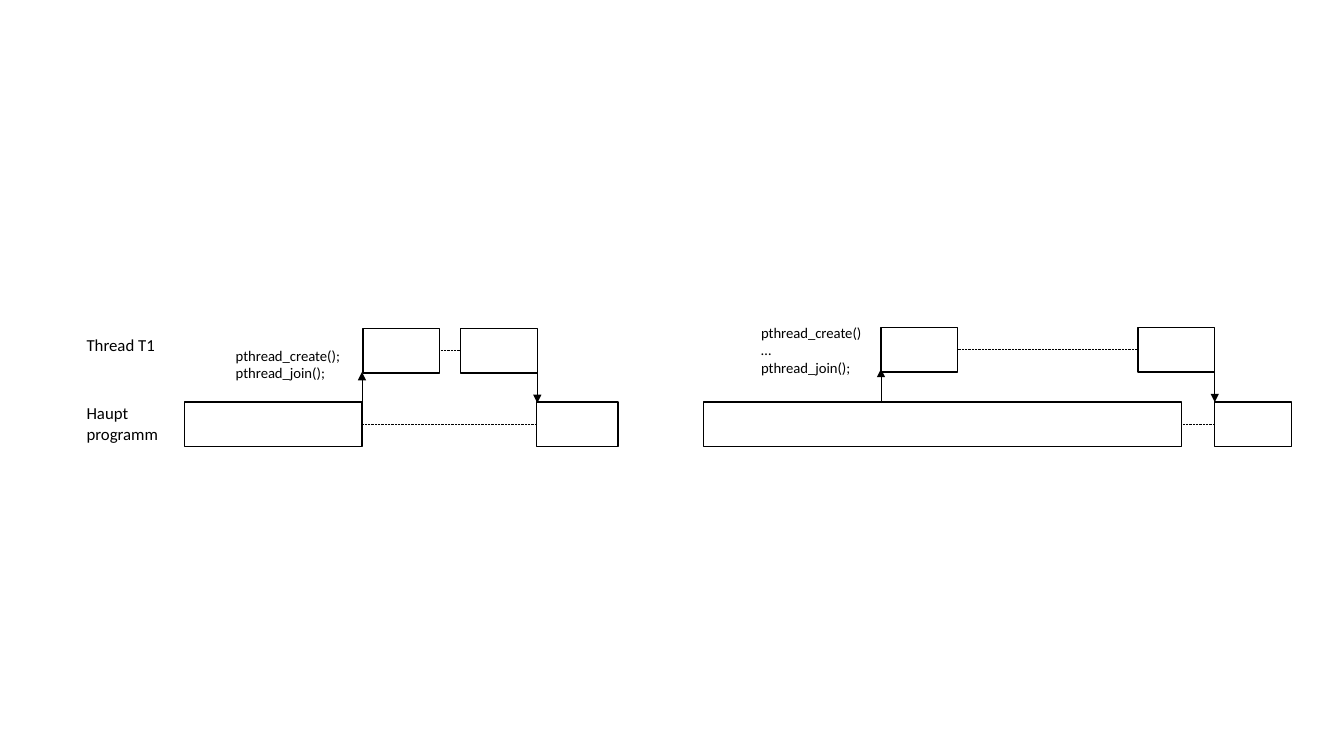
from dataclasses import dataclass

from lxml import etree
from pptx import Presentation
from pptx import util as u
from pptx.dml.color import RGBColor
from pptx.enum import dml, shapes, text
from pptx.oxml import ns

WIDTH, HEIGHT = u.Inches(13.33), u.Inches(7.5)
BLACK, WHITE = "000000", "FFFFFF"
LEFT, RIGHT = 1, 3

# Places and sizes are percentages of the slide's width and height.
MAIN_ROW = 53.2
LEFT_THREAD_ROW, RIGHT_THREAD_ROW = 43.47, 43.33
BAR_HEIGHT = 5.87
SLICE = 5.7


@dataclass(frozen=True)
class Bar:
    """A stretch of time in which a thread is running."""
    x: float
    y: float
    width: float = SLICE


@dataclass(frozen=True)
class Wait:
    """The pause between two bars of one thread."""
    before: str
    after: str


@dataclass(frozen=True)
class Handover:
    """A vertical arrow; with a source bar it leaves that bar's right side."""
    x: float
    start: float
    end: float
    source: str = ""


@dataclass(frozen=True)
class Label:
    wording: str
    x: float
    y: float
    width: float
    height: float
    size: float = 10.5


BARS = {
    "main before": Bar(13.73, MAIN_ROW, 13.2),
    "thread first": Bar(27, LEFT_THREAD_ROW),
    "thread second": Bar(34.28, LEFT_THREAD_ROW),
    "main after": Bar(39.9, MAIN_ROW, 6.08),
    "parallel main": Bar(52.35, MAIN_ROW, 35.55),
    "parallel first": Bar(65.55, RIGHT_THREAD_ROW),
    "parallel second": Bar(84.68, RIGHT_THREAD_ROW),
    "parallel after": Bar(90.38, MAIN_ROW),
}
WAITS = [
    Wait("main before", "main after"),
    Wait("thread first", "thread second"),
    Wait("parallel first", "parallel second"),
    Wait("parallel main", "parallel after"),
]
HANDOVERS = [
    Handover(26.93, 56.13, 49.2, "main before"),
    Handover(39.98, 46.4, 53.3, "thread second"),
    Handover(65.55, MAIN_ROW, 48.8),
    Handover(90.38, 46.27, MAIN_ROW, "parallel second"),
]
LABELS = [
    Label("Thread T1", 5.7, 43.6, 7.28, 4, 12),
    Label("Haupt\nprogramm", 5.7, 52.67, 7.28, 6.67, 12),
    Label("pthread_create();\npthread_join();", 16.8, 45.2, 9.98, 6),
    Label("pthread_create()\n…\npthread_join();", 55.89, 42.13, 9.68, 8.4),
]


def across(share: float) -> int:
    return round(WIDTH * share / 100)


def down(share: float) -> int:
    return round(HEIGHT * share / 100)


def color(value: str) -> RGBColor:
    return RGBColor.from_string(value)


def draw_bar(slide, bar: Bar):
    rect = slide.shapes.add_shape(
        shapes.MSO_SHAPE.RECTANGLE, across(bar.x), down(bar.y),
        across(bar.width), down(BAR_HEIGHT))
    rect.shadow.inherit = False
    rect.fill.solid()
    rect.fill.fore_color.rgb = color(WHITE)
    rect.line.color.rgb = color(BLACK)
    rect.line.width = u.Pt(1)
    return rect


def draw_line(slide, start=(0, 0), end=(0, 0)):
    line = slide.shapes.add_connector(
        shapes.MSO_CONNECTOR.STRAIGHT,
        across(start[0]), down(start[1]), across(end[0]), down(end[1]))
    line.line.color.rgb = color(BLACK)
    line.line.width = u.Pt(0.5)
    etree.SubElement(line._element.spPr, ns.qn("a:effectLst"))
    return line


def draw_wait(slide, wait: Wait, drawn: dict) -> None:
    line = draw_line(slide)
    line.begin_connect(drawn[wait.before], RIGHT)
    line.end_connect(drawn[wait.after], LEFT)
    line.line.dash_style = dml.MSO_LINE.ROUND_DOT


def draw_handover(slide, handover: Handover, drawn: dict) -> None:
    arrow = draw_line(slide, (handover.x, handover.start),
                      (handover.x, handover.end))
    if handover.source:
        arrow.begin_connect(drawn[handover.source], RIGHT)
    etree.SubElement(arrow.line._get_or_add_ln(), ns.qn("a:tailEnd"),
                     type="triangle")


def write(frame, wording: str, *, size: float, font: str = "Calibri",
          ink: str = BLACK) -> None:
    paragraph = frame.paragraphs[0]
    paragraph.text = wording
    for run in paragraph.runs:
        run.font.size = u.Pt(size)
        run.font.name = font
        run.font.color.rgb = color(ink)
    for line_break in paragraph._p.findall(ns.qn("a:br")):
        etree.SubElement(line_break, ns.qn("a:rPr"), sz=str(round(size * 100)))


def draw_label(slide, label: Label) -> None:
    frame = slide.shapes.add_textbox(
        across(label.x), down(label.y),
        across(label.width), down(label.height)).text_frame
    frame.word_wrap = False
    frame.auto_size = text.MSO_AUTO_SIZE.SHAPE_TO_FIT_TEXT
    write(frame, label.wording, size=label.size)


def main() -> None:
    deck = Presentation()
    deck.slide_width, deck.slide_height = WIDTH, HEIGHT
    slide = deck.slides.add_slide(deck.slide_layouts[6])
    drawn = {name: draw_bar(slide, bar) for name, bar in BARS.items()}
    for wait in WAITS:
        draw_wait(slide, wait, drawn)
    for handover in HANDOVERS:
        draw_handover(slide, handover, drawn)
    for label in LABELS:
        draw_label(slide, label)
    deck.save("out.pptx")


if __name__ == "__main__":
    main()
